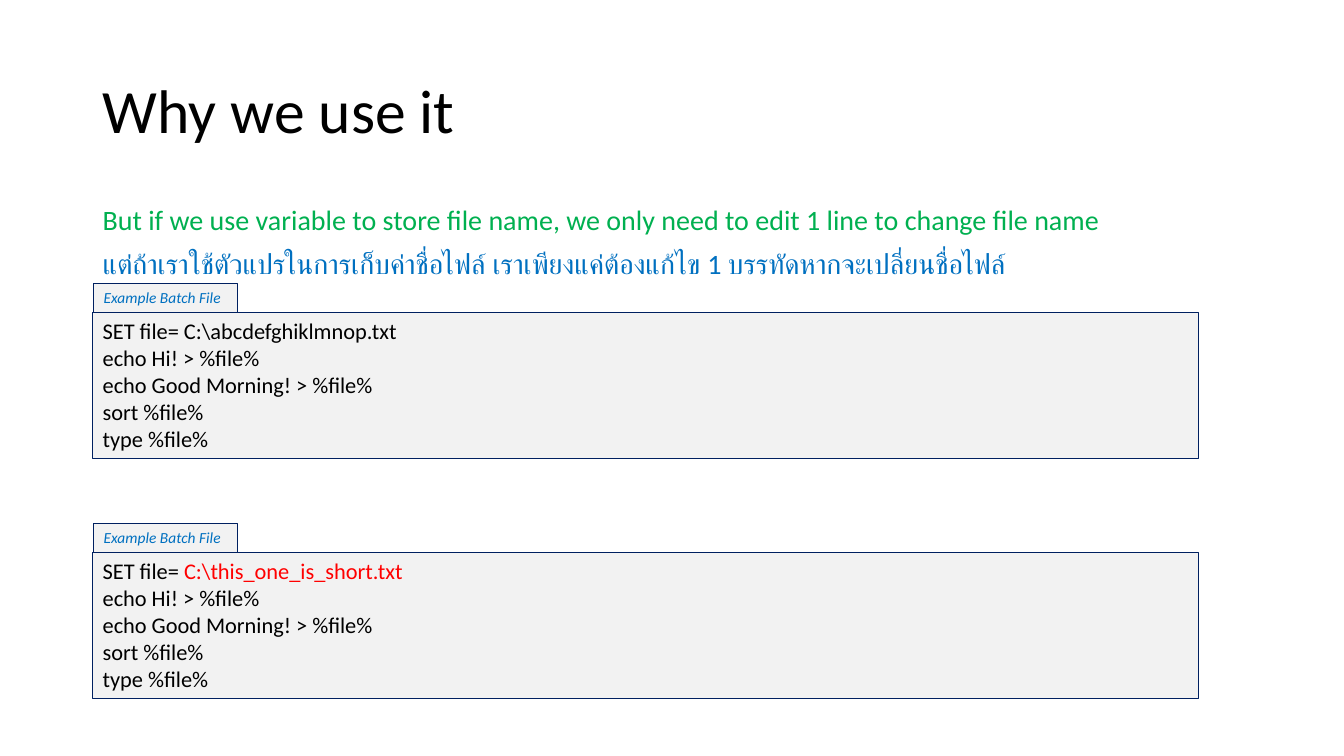
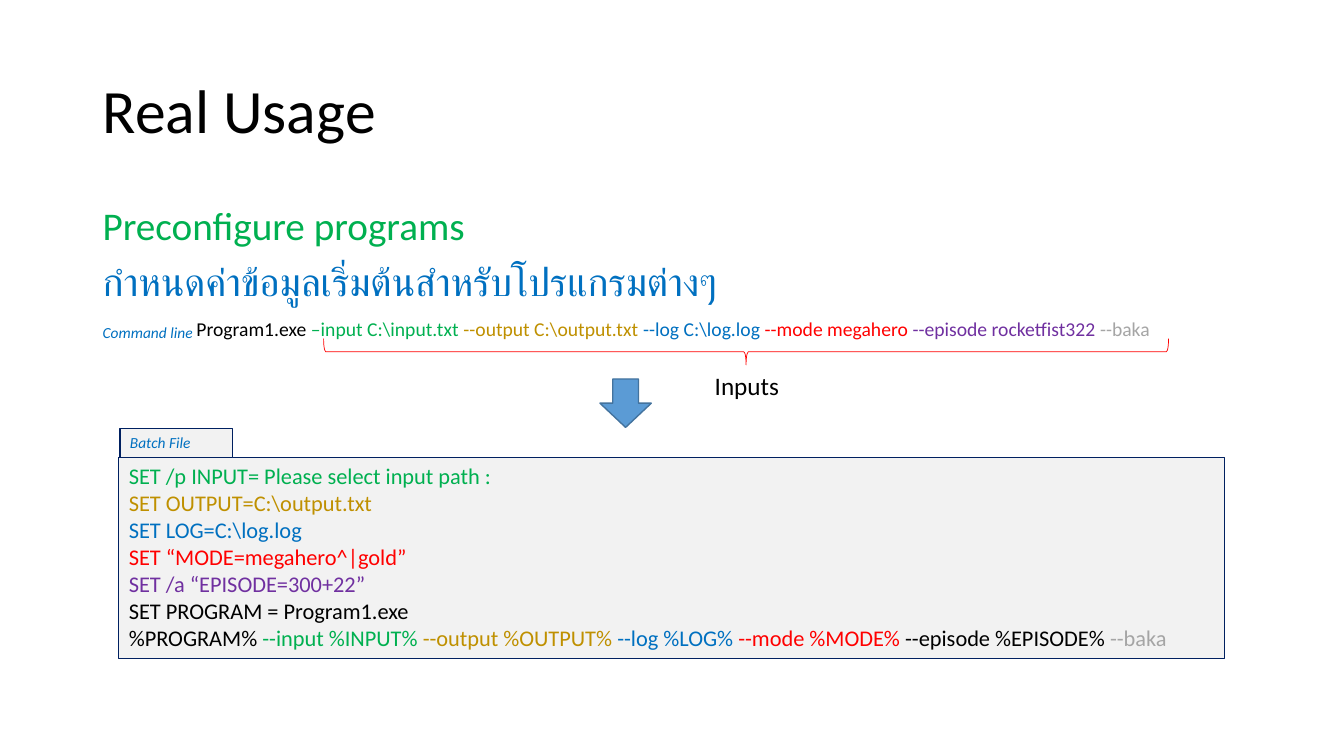
from dataclasses import dataclass

from pptx import Presentation
from pptx.dml.color import RGBColor
from pptx.enum.shapes import MSO_SHAPE as Preset
from pptx.enum.text import MSO_ANCHOR as Anchor, MSO_AUTO_SIZE as AutoSize, PP_ALIGN as Align
from pptx.util import Inches, Pt


@dataclass(frozen=True)
class Theme:
    font: str = "Calibri"
    black: str = "000000"
    green: str = "00B050"
    blue: str = "0070C0"
    gold: str = "BF9000"
    red: str = "FF0000"
    purple: str = "7030A0"
    gray: str = "A5A5A5"
    panel_fill: str = "F2F2F2"
    panel_line: str = "002060"
    arrow_fill: str = "5B9BD5"
    arrow_line: str = "43739E"
    title_size: int = 44
    heading_size: int = 28
    lead_size: int = 20
    label_size: int = 18
    code_size: int = 16
    command_size: int = 14
    tag_size: int = 11


THEME = Theme()
TITLE_ONLY = 5
MARGIN = 0.92
CONTENT_WIDTH = 11.5
PANEL_WIDTH = 10.97
TAB_HEIGHT = 0.29
CODE_LINE_HEIGHT = 0.27
PANEL_PADDING = 0.1


def inches(*lengths):
    return [Inches(length) for length in lengths]


def add_run(paragraph, text, size, color=THEME.black, italic=False):
    run = paragraph.add_run()
    run.text = text
    font = run.font
    font.name, font.size, font.italic = THEME.font, Pt(size), italic
    font.color.rgb = RGBColor.from_string(color)


def write_lines(frame, lines, size, italic=False):
    """Write one left-aligned paragraph per line; a line is a list of (text, color)."""
    frame.word_wrap = True
    frame.auto_size = AutoSize.NONE
    frame.vertical_anchor = Anchor.TOP
    for index, line in enumerate(lines):
        paragraph = frame.add_paragraph() if index else frame.paragraphs[0]
        paragraph.alignment = Align.LEFT
        for text, color in line:
            add_run(paragraph, text, size, color, italic)


def add_outlined(shapes, preset, box, fill, line, line_width):
    shape = shapes.add_shape(preset, *inches(*box))
    shape.shadow.inherit = False
    if fill:
        shape.fill.solid()
        shape.fill.fore_color.rgb = RGBColor.from_string(fill)
    else:
        shape.fill.background()
    shape.line.color.rgb = RGBColor.from_string(line)
    shape.line.width = Pt(line_width)
    return shape


def add_titled_slide(deck, title):
    slide = deck.slides.add_slide(deck.slide_layouts[TITLE_ONLY])
    heading = slide.shapes.title
    heading.left, heading.top, heading.width, heading.height = inches(
        MARGIN, 0.4, CONTENT_WIDTH, 1.45)
    write_lines(heading.text_frame, [[(title, THEME.black)]], THEME.title_size)
    heading.text_frame.vertical_anchor = Anchor.MIDDLE
    heading.text_frame.paragraphs[0].line_spacing = 0.9
    return slide


def add_intro(slide, english, thai, size):
    """Add the bilingual introduction and return its text frame."""
    frame = slide.shapes.add_textbox(*inches(MARGIN, 2, CONTENT_WIDTH, 4.76)).text_frame
    write_lines(frame, [[(english, THEME.green)], [(thai, THEME.blue)]], size)
    for paragraph in frame.paragraphs:
        space_intro(paragraph)
    return frame


def space_intro(paragraph):
    paragraph.line_spacing = 0.9
    paragraph.space_before = Pt(10)


def add_command(frame, parts, indent):
    paragraph = frame.add_paragraph()
    space_intro(paragraph)
    properties = paragraph._p.get_or_add_pPr()
    properties.set("marL", str(Inches(indent)))
    properties.set("indent", "0")
    for text, color in parts:
        add_run(paragraph, text, THEME.command_size, color)


def add_label(slide, text, box, size, color=THEME.black, italic=False):
    frame = slide.shapes.add_textbox(*inches(*box)).text_frame
    write_lines(frame, [[(text, color)]], size, italic)


def add_code_panel(slide, left, top, tab_text, tab_width, code):
    """Add a code listing, as tall as its lines, with a tab on its top edge."""
    group = slide.shapes.add_group_shape()
    height = len(code) * CODE_LINE_HEIGHT + PANEL_PADDING
    outline = THEME.panel_fill, THEME.panel_line, 0.75
    listing = add_outlined(group.shapes, Preset.RECTANGLE,
                           (left, top, PANEL_WIDTH, height), *outline)
    write_lines(listing.text_frame, code, THEME.code_size)
    tab = add_outlined(group.shapes, Preset.RECTANGLE,
                       (left + 0.01, top - TAB_HEIGHT, tab_width, TAB_HEIGHT), *outline)
    write_lines(tab.text_frame, [[(tab_text, THEME.blue)]], THEME.tag_size, italic=True)


def build_reason_slide(deck):
    slide = add_titled_slide(deck, "Why we use it")
    add_intro(
        slide,
        "But if we use variable to store file name, we only need to edit 1 line to change file name",
        "แต่ถ้าเราใช้ตัวแปรในการเก็บค่าชื่อไฟล์ เราเพียงแค่ต้องแก้ไข 1 บรรทัดหากจะเปลี่ยนชื่อไฟล์",
        THEME.lead_size)
    unchanged = [[(text, THEME.black)] for text in (
        "echo Hi! > %file%", "echo Good Morning! > %file%", "sort %file%", "type %file%")]
    for top, file_name, color in (
            (3.1, "C:\\abcdefghiklmnop.txt", THEME.black),
            (5.48, "C:\\this_one_is_short.txt", THEME.red)):
        assignment = [("SET file= ", THEME.black), (file_name, color)]
        add_code_panel(slide, MARGIN, top, "Example Batch File", 1.43,
                       [assignment, *unchanged])


def build_usage_slide(deck):
    slide = add_titled_slide(deck, "Real Usage")
    intro = add_intro(slide, "Preconfigure programs",
                      "กำหนดค่าข้อมูลเริ่มต้นสำหรับโปรแกรมต่างๆ", THEME.heading_size)
    add_command(intro, [
        ("Program1.exe ", THEME.black),
        ("–input C:\\input.txt ", THEME.green),
        ("--output C:\\output.txt ", THEME.gold),
        ("--log C:\\log.log ", THEME.blue),
        ("--mode megahero ", THEME.red),
        ("--episode rocketfist322 ", THEME.purple),
        ("--baka", THEME.gray),
    ], indent=0.93)
    add_code_panel(slide, 1.18, 4.54, "Batch File", 1.12, [
        [("SET /p INPUT= Please select input path :", THEME.green)],
        [("SET OUTPUT=C:\\output.txt", THEME.gold)],
        [("SET LOG=C:\\log.log", THEME.blue)],
        [("SET “MODE=megahero^|gold”", THEME.red)],
        [("SET /a “EPISODE=300+22”", THEME.purple)],
        [("SET PROGRAM = Program1.exe", THEME.black)],
        [("%PROGRAM% ", THEME.black),
         ("--input %INPUT% ", THEME.green),
         ("--output %OUTPUT% ", THEME.gold),
         ("--log %LOG% ", THEME.blue),
         ("--mode %MODE% ", THEME.red),
         ("--episode %EPISODE% ", THEME.black),
         ("--baka", THEME.gray)],
    ])
    inputs_brace = add_outlined(slide.shapes, Preset.LEFT_BRACE,
                                (7.27, -0.7, 0.26, 8.38), None, THEME.red, 0.5)
    inputs_brace.rotation = 270
    add_label(slide, "Inputs", (6.99, 3.62, 0.89, 0.4), THEME.label_size)
    add_label(slide, "Command line", (MARGIN, 3.16, 1.12, 0.29), THEME.tag_size,
              THEME.blue, italic=True)
    add_outlined(slide.shapes, Preset.DOWN_ARROW, (5.95, 3.76, 0.51, 0.48),
                 THEME.arrow_fill, THEME.arrow_line, 1)


def main():
    deck = Presentation()
    deck.slide_width, deck.slide_height = inches(13.33, 7.5)
    build_reason_slide(deck)
    build_usage_slide(deck)
    deck.save("out.pptx")


if __name__ == "__main__":
    main()
